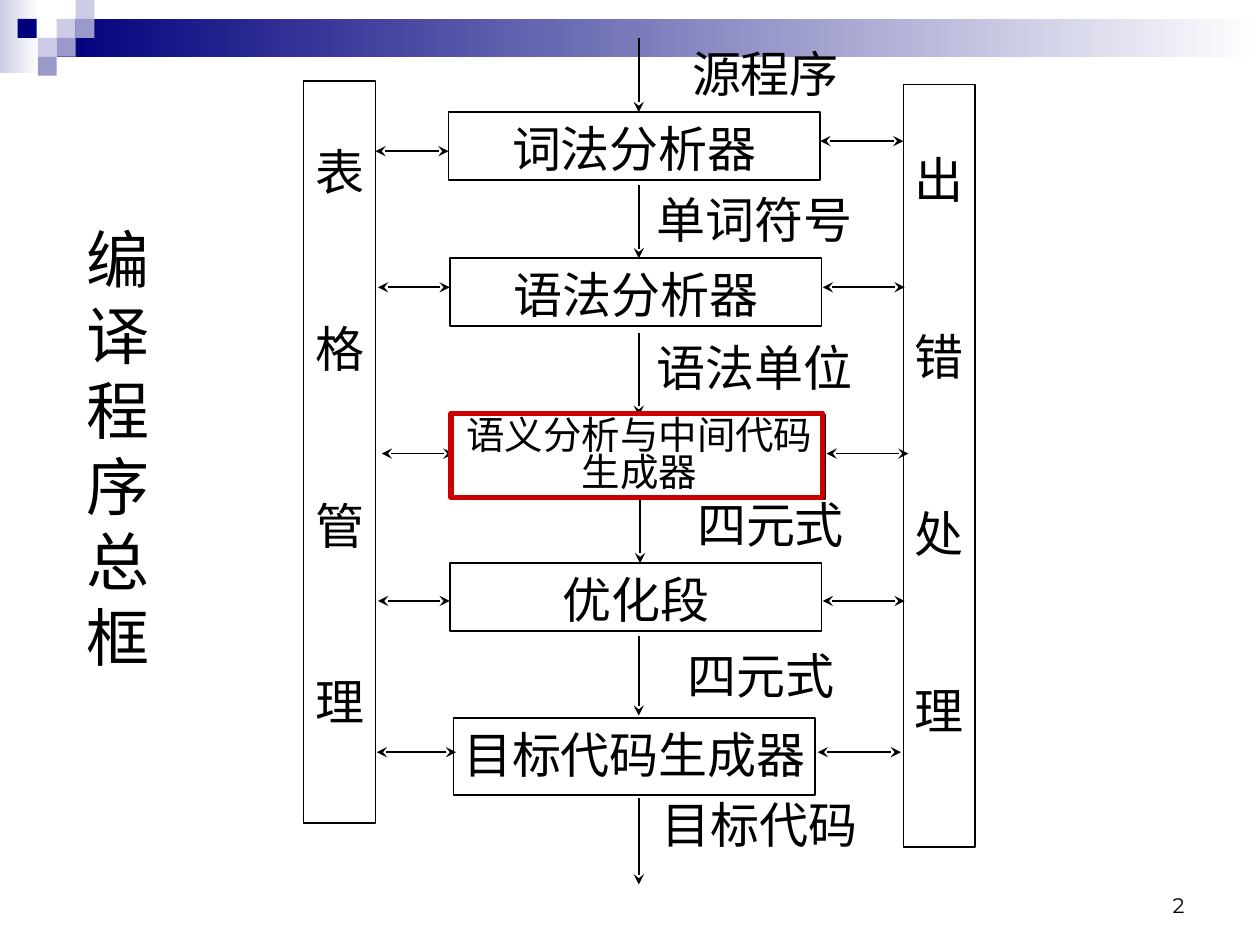
from pptx import Presentation
from pptx.dml.color import RGBColor
from pptx.enum import shapes, text
from pptx.oxml import ns
from pptx.util import Inches, Pt
from lxml import etree

BLACK = RGBColor(0, 0, 0)
WHITE = RGBColor(255, 255, 255)
NAVY = RGBColor(0x00, 0x00, 0x7D)
LILAC = RGBColor(0xCC, 0xCC, 0xE6)
VIOLET = RGBColor(0x99, 0x99, 0xCC)
RED = RGBColor(0xCC, 0x00, 0x00)
SERIF, SANS, NUMERIC = "Times New Roman", "Noto Sans CJK SC", "Montserrat"
TOP, MIDDLE, BOTTOM = (text.MSO_ANCHOR.TOP, text.MSO_ANCHOR.MIDDLE,
                       text.MSO_ANCHOR.BOTTOM)
LEFT, CENTER, RIGHT = text.PP_ALIGN.LEFT, text.PP_ALIGN.CENTER, text.PP_ALIGN.RIGHT

# Content
TITLE = "编译程序总框"
PAGE_NUMBER = "2"
# Stage name, box, font
STAGES = [
    ("词法分析器", (3.56, 0.89, 2.95, 0.54), SERIF),
    ("语法分析器", (3.57, 2.05, 2.95, 0.54), SERIF),
    ("语义分析与中间代码生成器", (3.6, 3.29, 2.95, 0.67), SANS),
    ("优化段", (3.57, 4.47, 2.95, 0.54), SANS),
    ("目标代码生成器", (3.6, 5.7, 2.87, 0.61), SANS),
]
DENSE_STAGE = 2
HIGHLIGHT = (3.58, 3.28, 2.95, 0.67)
# Data passed on, label box, arrow x, arrow start and end y
FLOWS = [
    ("源程序", (5.26, 0.39, 1.63, 0.38), 5.07, 0.3, 0.89),
    ("单词符号", (5.17, 1.55, 1.64, 0.38), 5.07, 1.47, 2.05),
    ("语法单位", (5.17, 2.72, 1.64, 0.38), 5.07, 2.64, 3.3),
    ("四元式", (5.27, 4.01, 1.69, 0.3), 5.08, 3.96, 4.47),
    ("四元式", (5.27, 5.18, 1.54, 0.35), 5.07, 5.05, 5.68),
    ("目标代码", (5.25, 6.35, 1.56, 0.38), 5.07, 6.33, 7.02),
]
# Side column text, box, top inset
COLUMNS = [
    ("表格管理", (2.41, 0.64, 0.57, 5.89), 0.48),
    ("出错处理", (7.17, 0.67, 0.57, 6.05), 0.52),
]
COLUMN_GAP = 67.5
# Left link from x, to x, y; right link from x, to x, y
LINKS = [
    ((3.56, 2.98, 1.2), (6.51, 7.17, 1.12)),
    ((3.57, 3.0, 2.28), (6.53, 7.18, 2.28)),
    ((3.6, 3.03, 3.6), (6.56, 7.21, 3.6)),
    ((3.57, 3.0, 4.77), (6.53, 7.18, 4.77)),
    ((3.62, 2.99, 5.97), (6.49, 7.15, 5.97)),
]
# Banner: gradient bars, then squares by grid column and row
BARS = [((0, 0, 0.31, 0.58), LILAC), ((0.45, 0.15, 9.55, 0.3), NAVY)]
SQUARE = 0.15
SQUARES = [(3, 1, LILAC), (4, 0, LILAC), (4, 1, VIOLET), (2, 2, LILAC),
           (1, 1, NAVY), (3, 2, VIOLET), (2, 3, VIOLET)]


def place(box, area):
    box.left, box.top, box.width, box.height = map(Inches, area)


def write(box, lines, size, font, align=CENTER, anchor=TOP,
          insets=(0, 0.05, 0, 0.05), wrap=True):
    frame = box.text_frame
    frame.text = "\n".join(lines)
    frame.auto_size = text.MSO_AUTO_SIZE.NONE
    frame.word_wrap = wrap
    frame.vertical_anchor = anchor
    (frame.margin_left, frame.margin_top,
     frame.margin_right, frame.margin_bottom) = map(Inches, insets)
    for para in frame.paragraphs:
        para.alignment = align
        for span in para.runs:
            span.font.size = Pt(size)
            span.font.name = font
            span.font.color.rgb = BLACK
    return frame.paragraphs


def add_rect(page, area):
    box = page.shapes.add_shape(shapes.MSO_SHAPE.RECTANGLE, *map(Inches, area))
    box.shadow.inherit = False
    return box


def add_block(page, area, color):
    block = add_rect(page, area)
    block.line.fill.background()
    block.fill.solid()
    block.fill.fore_color.rgb = color
    return block


def add_outline(page, area, color=BLACK, width=1):
    box = add_rect(page, area)
    box.fill.background()
    box.line.color.rgb = color
    box.line.width = Pt(width)
    return box


def add_arrow(page, x1, y1, x2, y2, ends=("tailEnd",)):
    arrow = page.shapes.add_connector(
        shapes.MSO_CONNECTOR.STRAIGHT, *map(Inches, (x1, y1, x2, y2)))
    arrow.line.color.rgb = BLACK
    arrow.line.width = Pt(1)
    line = arrow.line._get_or_add_ln()
    for end in ends:
        etree.SubElement(line, ns.qn("a:" + end), type="stealth")
    etree.SubElement(arrow._element.spPr, ns.qn("a:effectLst"))


def add_label(page, area, label, *style, **options):
    box = page.shapes.add_textbox(*map(Inches, area))
    write(box, [label], *style, **options)


def main():
    deck = Presentation()
    deck.slide_width, deck.slide_height = Inches(10), Inches(7.5)
    page = deck.slides.add_slide(deck.slide_layouts[5])

    # Banner
    for area, color in BARS:
        fill = add_block(page, area, color).fill
        fill.gradient()
        fill.gradient_angle = 0
        for stop, shade in zip(fill.gradient_stops, (color, WHITE)):
            stop.color.rgb = shade
    for column, row, color in SQUARES:
        left = column * SQUARE if column > 1 else 0.14
        add_block(page, (left, row * SQUARE, SQUARE, SQUARE), color)

    # Title, one character a line
    title = page.shapes.title
    place(title, (0.59, 1.7, 0.71, 4.3))
    write(title, [TITLE], 36, SANS, align=LEFT, insets=(0.1, 0.05, 0.1, 0.05))

    # Page number
    add_label(page, (7.17, 6.83, 2.33, 0.5), PAGE_NUMBER, 12, NUMERIC,
              align=RIGHT, anchor=BOTTOM, insets=(0.1, 0.05, 0.1, 0.05))

    # Data flow down the middle
    for label, area, x, start, end in FLOWS:
        add_label(page, area, label, 28, SERIF, anchor=MIDDLE, wrap=False)
        add_arrow(page, x, start, x, end)

    # Compiler stages
    for index, (name, area, font) in enumerate(STAGES):
        box = add_outline(page, area)
        if index == DENSE_STAGE:
            paras = write(box, [name], 22, font, anchor=MIDDLE, insets=(0, 0, 0, 0))
            paras[0].line_spacing = 0.8
        else:
            write(box, [name], 28, font)

    # Side columns
    for name, area, inset in COLUMNS:
        paras = write(add_outline(page, area), name, 28, SERIF,
                      insets=(0, inset, 0, 0.05))
        for para in paras[1:]:
            para.space_before = Pt(COLUMN_GAP)

    # Two-way links between stages and columns
    for pair in LINKS:
        for start, end, y in pair:
            add_arrow(page, start, y, end, y, ends=("headEnd", "tailEnd"))

    # Current stage
    add_outline(page, HIGHLIGHT, RED, 3)

    deck.save("out.pptx")


if __name__ == "__main__":
    main()
